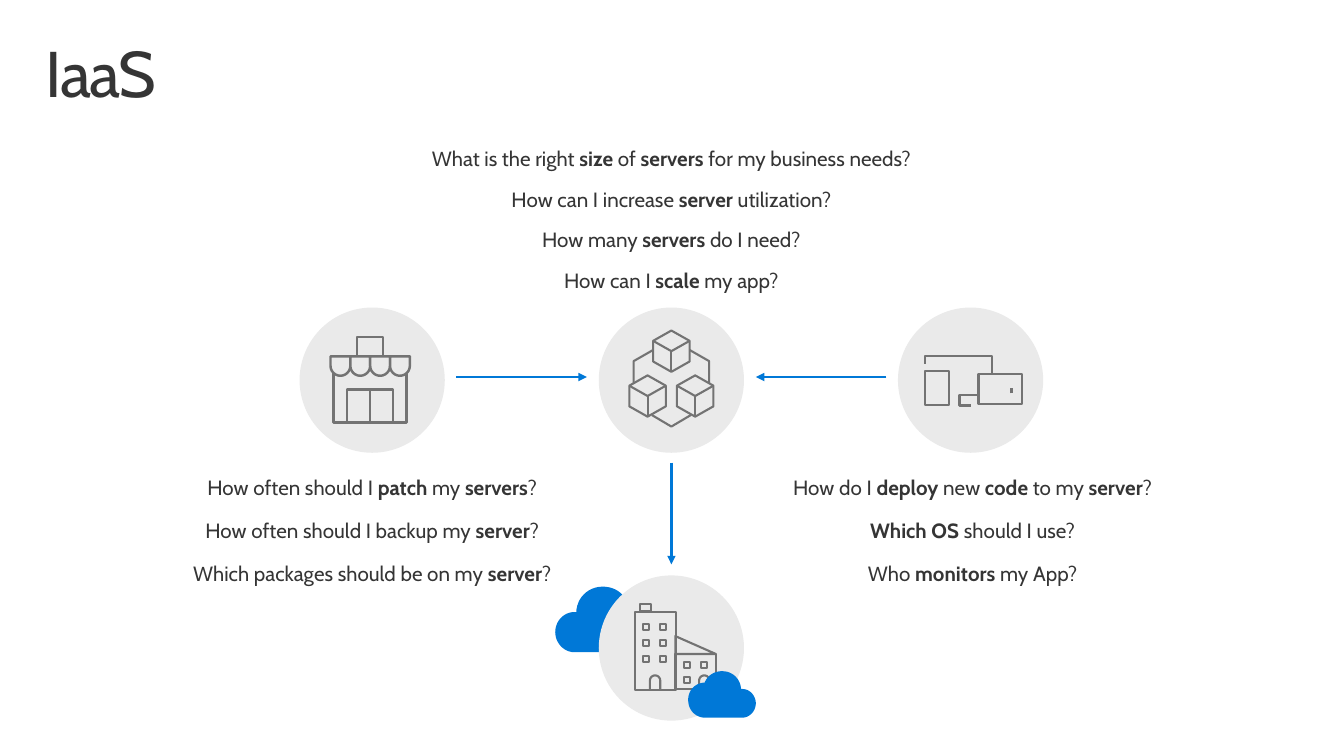
import math
from lxml import etree
from pptx import Presentation
from pptx import util as u
from pptx.dml.color import RGBColor
from pptx.enum import shapes, text
from pptx.oxml import ns

BLUE = RGBColor(0x00, 0x78, 0xD7)
PALE = RGBColor(0xEA, 0xEA, 0xEA)
GRAY = RGBColor(0x73, 0x73, 0x73)
INK = RGBColor(0x35, 0x35, 0x35)
WHITE = RGBColor(0xFF, 0xFF, 0xFF)
FONT = "Cabin"
KIND = shapes.MSO_SHAPE

MID, STEP = 16.92, 7.54
LEFT, RIGHT = MID - STEP, MID + STEP
ROW, BASE = 9.58, 16.33
DISC = 3.66

CLOUD = [
    [(0.53, 0.64), (0.53, 0.28), (0.81, 0), (1.17, 0)],
    [(1.17, 0), (1.45, 0), (1.68, 0.15), (1.78, 0.41)],
    [(1.78, 0.41), (2.11, 0.41), (2.36, 0.66), (2.36, 0.99)],
    [(2.36, 0.99), (2.36, 1.35), (2.11, 1.6), (1.78, 1.6)],
    [(0.46, 1.6), (0.2, 1.6), (0, 1.37), (0, 1.12)],
    [(0, 1.12), (0, 0.86), (0.2, 0.64), (0.46, 0.64)],
]

TOP = [
    (15.52, "What is the right *size* of *servers* for my business needs?"),
    (9.12, "How can I increase *server* utilization?"),
    (10.52, "How many *servers* do I need?"),
    (6.25, "How can I *scale* my app?"),
]
OPS = [
    (10.39, "How often should I *patch* my *servers*?"),
    (9.47, "How often should I backup my *server*?"),
    (10.9, "Which packages should be on my *server*?"),
]
DEV = [
    (13.46, "How do I *deploy* new *code* to my *server*?"),
    (6.91, "*Which OS *should I use?"),
    (11.38, "Who *monitors* my App?"),
]


def curve(a, b, c, d, steps=12):
    for i in range(steps + 1):
        t = i / steps
        s = 1 - t
        yield tuple(s**3 * p + 3 * s * s * t * q + 3 * s * t * t * r + t**3 * e
                    for p, q, r, e in zip(a, b, c, d))


def arc(x, y, r, start, end, steps=12):
    turns = [math.radians(start + (end - start) * i / steps) for i in range(steps + 1)]
    return [(x + r * math.cos(t), y + r * math.sin(t)) for t in turns]


class Board:
    def __init__(self, slide):
        self.slide = slide
        self.host = slide.shapes
        self.x = self.y = 0

    def spot(self, x, y):
        return u.Cm(self.x + x), u.Cm(self.y + y)

    def paint(self, shape, fill, line, width):
        shape.shadow.inherit = False
        if fill is None:
            shape.fill.background()
        else:
            shape.fill.solid()
            shape.fill.fore_color.rgb = fill
        if line is None:
            shape.line.fill.background()
        else:
            shape.line.color.rgb = line
            shape.line.width = u.Pt(width)
        return shape

    def form(self, kind, x, y, w, h, fill=None, line=GRAY, width=1.5):
        shape = self.host.add_shape(kind, *self.spot(x, y), u.Cm(w), u.Cm(h))
        return self.paint(shape, fill, line, width)

    def box(self, x, y, w, h, width=1.5):
        self.form(KIND.RECTANGLE, x, y, w, h, width=width)

    def trace(self, points, close=False, fill=None, line=GRAY, width=1.5):
        first, *rest = [self.spot(*p) for p in points]
        pen = self.host.build_freeform(*first)
        pen.add_line_segments(rest, close=close)
        self.paint(pen.convert_to_shape(), fill, line, width)

    def link(self, start, end, line=GRAY, width=1.5, head=False):
        bar = self.host.add_connector(shapes.MSO_CONNECTOR.STRAIGHT,
                                      *self.spot(*start), *self.spot(*end))
        bar.line.color.rgb = line
        bar.line.width = u.Pt(width)
        if head:
            etree.SubElement(bar.line._get_or_add_ln(), ns.qn("a:tailEnd"), type="triangle")
        etree.SubElement(bar._element.spPr, ns.qn("a:effectLst"))

    def open(self, x, y):
        self.host = self.slide.shapes.add_group_shape().shapes
        self.x, self.y = x, y
        self.form(KIND.OVAL, -DISC / 2, -DISC / 2, DISC, DISC, PALE, None)

    def close(self):
        self.host = self.slide.shapes
        self.x = self.y = 0

    def cloud(self, x, y, size=1, flip=False):
        points = [p for part in CLOUD for p in curve(*part)]
        self.trace([(x + size * (2.36 - a if flip else a), y + size * b) for a, b in points],
                   True, BLUE, BLUE)

    def run(self, para, words, size, bold=False):
        run = para.add_run()
        run.text = words
        run.font.name = FONT
        run.font.size = u.Pt(size)
        run.font.bold = bold
        run.font.color.rgb = INK
        return run

    def title(self, words):
        shape = self.slide.shapes.title
        shape.left, shape.top, shape.width, shape.height = map(u.Cm, (0.74, 0.81, 32.4, 2.49))
        frame = shape.text_frame
        frame.margin_left = frame.margin_right = u.Cm(0.41)
        frame.margin_top = frame.margin_bottom = u.Cm(0.25)
        frame.vertical_anchor = text.MSO_ANCHOR.TOP
        frame.auto_size = text.MSO_AUTO_SIZE.NONE
        para = frame.paragraphs[0]
        para.alignment = text.PP_ALIGN.LEFT
        para.line_spacing = 0.9
        self.run(para, words, 46.1).font._element.set("spc", "-100")

    def asks(self, mid, top, gap, lines):
        for i, (w, words) in enumerate(lines):
            area = self.host.add_textbox(u.Cm(mid - w / 2), u.Cm(top + gap * i), u.Cm(w), u.Cm(0.89))
            frame = area.text_frame
            frame.word_wrap = True
            frame.auto_size = text.MSO_AUTO_SIZE.SHAPE_TO_FIT_TEXT
            para = frame.paragraphs[0]
            para.alignment = text.PP_ALIGN.CENTER
            for n, part in enumerate(words.split("*")):
                if part:
                    self.run(para, part, 14.7, n % 2 == 1)

    def office(self):
        self.open(MID, BASE)
        self.box(-0.91, -0.91, 1.02, 1.96)
        self.box(-0.79, -1.12, 0.28, 0.2)
        self.box(0.1, 0.15, 1.02, 0.89)
        roof = self.form(KIND.ISOSCELES_TRIANGLE, 0.1, -0.3, 1.02, 0.45)
        roof.adjustments[0] = 0
        panes = [(-0.71 + 0.43 * c, -0.61 + 0.41 * r) for r in range(3) for c in range(2)]
        for x, y in panes + [(0.32, 0.36), (0.75, 0.36), (0.32, 0.74)]:
            self.box(x, y, 0.15, 0.15)
        for x in (-0.41, 0.83):
            self.trace([(x - 0.13, 1.04), *arc(x, 0.82, 0.13, 180, 360), (x + 0.13, 1.04)])
        self.close()

    def cubes(self):
        self.open(MID, ROW)
        for x, y in [(0, -0.73), (-0.6, 0.4), (0.6, 0.4)]:
            self.trace([(x - 0.46, y - 0.26), (x, y - 0.52), (x + 0.46, y - 0.26),
                        (x + 0.46, y + 0.26), (x, y + 0.52), (x - 0.46, y + 0.26)], True)
            self.trace([(x + 0.46, y - 0.26), (x, y), (x - 0.46, y - 0.26)])
            self.link((x, y), (x, y + 0.52))
        for side in (-1, 1):
            self.trace([(side * 0.46, -0.76), (side * 0.95, -0.48), (side * 0.95, 0.08)])
        self.trace([(0.49, 0.88), (0, 1.17), (-0.49, 0.88)])
        self.close()

    def shop(self):
        self.open(LEFT, ROW)
        c = -0.05
        self.box(c - 0.33, -1.09, 0.66, 0.49, 1.75)
        self.box(c - 0.92, -0.6, 1.84, 1.67, 1.75)
        for i in range(4):
            x = c - 0.75 + 0.5 * i
            self.trace([(x - 0.25, -0.6), (x + 0.25, -0.6), *arc(x, -0.36, 0.25, 0, 180)],
                       True, PALE, GRAY, 1.75)
        self.box(c - 0.58, 0.24, 1.16, 0.83, 1.75)
        self.link((c, 0.24), (c, 1.07), width=1.75)
        self.close()

    def screens(self):
        self.open(RIGHT, ROW)
        self.box(-1.15, -0.23, 0.61, 0.86)
        self.box(0.2, -0.15, 1.09, 0.76)
        self.link((1.03, 0.33), (1.03, 0.2), width=2)
        self.trace([(0.2, 0.38), (-0.28, 0.38), (-0.28, 0.64), (0.02, 0.64)])
        self.trace([(-1.15, -0.41), (-1.15, -0.61), (0.55, -0.61), (0.55, -0.15)])
        self.close()


def main():
    deck = Presentation()
    deck.slide_width, deck.slide_height = u.Cm(33.87), u.Cm(19.05)
    slide = deck.slides.add_slide(deck.slide_layouts[5])
    slide.background.fill.solid()
    slide.background.fill.fore_color.rgb = WHITE
    board = Board(slide)
    board.title("IaaS")
    board.cloud(14.02, 14.81)
    board.asks(MID, 3.56, 1.02, TOP)
    board.asks(LEFT, 11.84, 1.08, OPS)
    board.asks(RIGHT + 0.05, 11.84, 1.08, DEV)
    board.office()
    board.cubes()
    board.shop()
    board.screens()
    for side in (-1, 1):
        board.link((MID + side * 5.42, 9.5), (MID + side * 2.13, 9.5), BLUE, 2, True)
    board.link((MID, 11.66), (MID, 14.22), BLUE, 2, True)
    board.cloud(17.37, 16.94, 0.7, True)
    deck.save("out.pptx")


if __name__ == "__main__":
    main()
